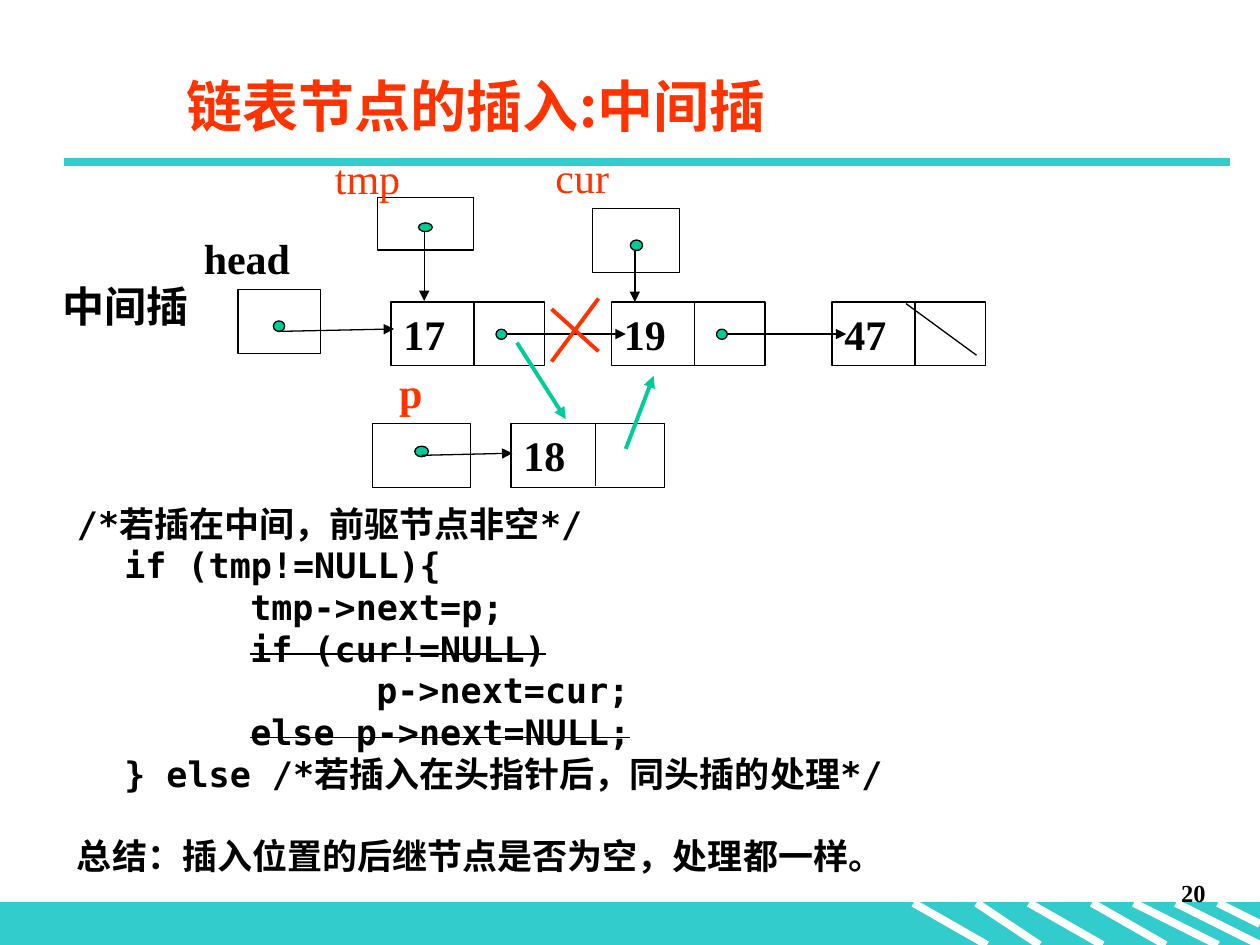
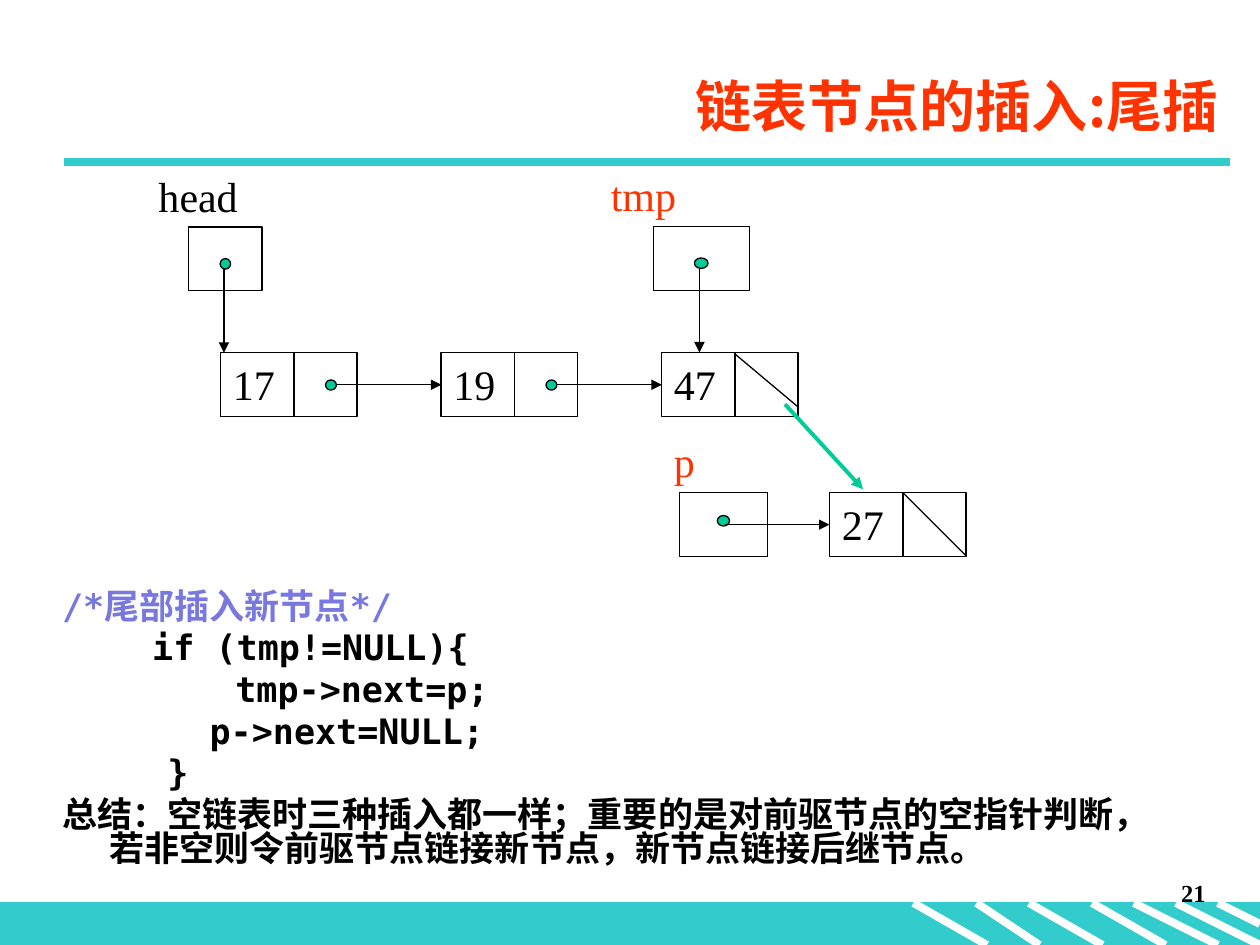
from dataclasses import dataclass
from typing import NamedTuple

from lxml import etree
from pptx import Presentation
from pptx.dml.color import RGBColor
from pptx.enum import shapes, text
from pptx.oxml import ns
from pptx.util import Pt

TEAL = RGBColor(0x33, 0xCC, 0xCC)
GREEN = RGBColor(0x00, 0xCC, 0x99)
RED = RGBColor(0xFF, 0x33, 0x00)
LILAC = RGBColor(0x78, 0x78, 0xDE)
BLACK = RGBColor(0, 0, 0)
WHITE = RGBColor(255, 255, 255)

SERIF = "Times New Roman"
MONO = "DejaVu Sans Mono"
CJK = "Noto Sans CJK SC"

NODE_HEIGHT = 36.5
NODE_STEP = 126
CODE_INDENT = 27
CODE_TAB = 72
LINE_GAP = 4.6
BLANK_LINE = 23.2


class Box(NamedTuple):
    left: float
    top: float
    width: float
    height: float


class Line(NamedTuple):
    x1: float
    y1: float
    x2: float
    y2: float


@dataclass(frozen=True)
class Node:
    value: str
    left: float
    top: float
    width: float
    split: float
    bold: bool = False


@dataclass(frozen=True)
class Pointer:
    """A labelled variable cell whose dot starts an arrow to a node."""
    label: str
    label_left: float
    cell: Box
    dot: Box
    arrow: Line
    color: RGBColor = RED
    bold: bool = False
    label_rise: float = 36


@dataclass(frozen=True)
class CodeLine:
    words: str
    margin: float = 0
    hang: float = 0
    before: float = LINE_GAP
    color: RGBColor = BLACK
    strike: bool = False


def add_run(p, words: str, size: float, font: str, color: RGBColor, bold: bool = True):
    r = p.add_run()
    r.text = words
    r.font.size = Pt(size)
    r.font.name = font
    r.font.bold = bold
    r.font.color.rgb = color
    etree.SubElement(r.font._element, ns.qn("a:ea"), typeface=CJK)
    return r


def place(sp, box: Box) -> None:
    sp.left, sp.top, sp.width, sp.height = (Pt(v) for v in box)


def add_text(slide, words: str, box: Box, size: float = 24, color: RGBColor = BLACK,
             bold: bool = True, align=text.PP_ALIGN.LEFT) -> None:
    tf = slide.shapes.add_textbox(*(Pt(v) for v in box)).text_frame
    tf.word_wrap = True
    tf.paragraphs[0].alignment = align
    add_run(tf.paragraphs[0], words, size, SERIF, color, bold)


def add_preset(slide, kind, box: Box, fill: RGBColor | None = None,
               line: RGBColor = BLACK):
    sp = slide.shapes.add_shape(kind, *(Pt(v) for v in box))
    sp.shadow.inherit = False
    if fill is None:
        sp.fill.background()
    else:
        sp.fill.solid()
        sp.fill.fore_color.rgb = fill
    sp.line.color.rgb = line
    sp.line.width = Pt(0.75)
    return sp


def add_line(slide, line: Line, color: RGBColor = BLACK, width: float = 0.75,
             arrow: bool = False) -> None:
    cx = slide.shapes.add_connector(shapes.MSO_CONNECTOR.STRAIGHT, *(Pt(v) for v in line))
    cx.line.color.rgb = color
    cx.line.width = Pt(width)
    if arrow:
        etree.SubElement(cx.line._get_or_add_ln(), ns.qn("a:tailEnd"), type="triangle")
    etree.SubElement(cx._element.spPr, ns.qn("a:effectLst"))


def add_dot(slide, box: Box) -> None:
    add_preset(slide, shapes.MSO_SHAPE.OVAL, box, GREEN)


def add_node(slide, node: Node) -> None:
    box = Box(node.left, node.top, node.width, NODE_HEIGHT)
    tf = add_preset(slide, shapes.MSO_SHAPE.RECTANGLE, box).text_frame
    tf.vertical_anchor = text.MSO_ANCHOR.TOP
    tf.paragraphs[0].alignment = text.PP_ALIGN.LEFT
    add_run(tf.paragraphs[0], node.value, 24, SERIF, BLACK, node.bold)
    x = node.left + node.split
    add_line(slide, Line(x, node.top, x, node.top + 36))


def add_link(slide, node: Node, length: float) -> None:
    """Draw the next pointer of a node."""
    x, y = node.left + 60, node.top + 15.5
    add_dot(slide, Box(x, y, 6.2, 5.8))
    add_line(slide, Line(x + 6.2, y + 2.8, x + 6.2 + length, y + 2.8), arrow=True)


def add_pointer(slide, ptr: Pointer) -> None:
    add_preset(slide, shapes.MSO_SHAPE.RECTANGLE, ptr.cell)
    label = Box(ptr.label_left, ptr.cell.top - ptr.label_rise, 100, 36)
    add_text(slide, ptr.label, label, color=ptr.color, bold=ptr.bold)
    add_dot(slide, ptr.dot)
    add_line(slide, ptr.arrow, arrow=True)


def add_code(slide, box: Box, lines: list[CodeLine]) -> None:
    sp = slide.placeholders[1]
    place(sp, box)
    tf = sp.text_frame
    tf.auto_size = text.MSO_AUTO_SIZE.NONE
    tf.vertical_anchor = text.MSO_ANCHOR.TOP
    for i, line in enumerate(lines):
        p = tf.add_paragraph() if i else tf.paragraphs[0]
        p.line_spacing = 0.8
        p.space_before = Pt(line.before)
        pPr = p._p.get_or_add_pPr()
        pPr.set("marL", str(Pt(line.margin)))
        pPr.set("indent", str(-Pt(line.hang)))
        etree.SubElement(pPr, ns.qn("a:buNone"))
        r = add_run(p, line.words, 20, MONO, line.color)
        if line.strike:
            r.font._element.set("strike", "sngStrike")


def new_slide(prs, title: str, align, number: int):
    """Add a slide with its title, rule, hatched band and number."""
    slide = prs.slides.add_slide(prs.slide_layouts[1])
    band = Box(0, 516, 720, 24)
    add_preset(slide, shapes.MSO_SHAPE.RECTANGLE, band, TEAL, TEAL)
    hatches = [(522, 564), (558, 600 - 6), (588, 630), (624, 666), (648, 696), (672, 720)]
    for x1, x2 in hatches:
        add_line(slide, Line(x1, 516, x2, 540), WHITE, 4.5)
    add_line(slide, Line(696, 516, 720, 528), WHITE, 4.5)
    add_line(slide, Line(36.8, 92.6, 702.8, 92.6), TEAL, 4.5)
    add_text(slide, str(number), Box(546, 498, 150, 36), 14, align=text.PP_ALIGN.RIGHT)

    sp = slide.shapes.title
    place(sp, Box(99.4, 31.8, 604, 57))
    tf = sp.text_frame
    tf.auto_size = text.MSO_AUTO_SIZE.NONE
    tf.vertical_anchor = text.MSO_ANCHOR.MIDDLE
    tf.paragraphs[0].alignment = align
    add_run(tf.paragraphs[0], title, 32, CJK, RED)
    return slide


def build_middle_insert(prs) -> None:
    slide = new_slide(prs, "链表节点的插入:中间插", text.PP_ALIGN.LEFT, 20)
    nodes = [Node(value, 223.4 + i * NODE_STEP, 172.6, 87.8, 47.4, True)
             for i, value in enumerate(("17", "19", "47"))]
    for node in nodes + [Node("18", 292, 242, 87.8, 48.2, True)]:
        add_node(slide, node)
    for node in nodes[:-1]:
        add_link(slide, node, 68)
    add_line(slide, Line(517.7, 173.5, 558, 203))

    pointers = [
        Pointer("head", 109.4, Box(136, 165.5, 47, 36.5), Box(156.2, 183.4, 6.5, 6),
                Line(158.5, 189.4, 225.2, 188), BLACK, True),
        Pointer("p", 221, Box(212.8, 242, 56, 36.5), Box(237, 255, 7.8, 6),
                Line(241, 260.2, 292.8, 259), RED, True),
        Pointer("tmp", 184.3, Box(215.7, 113, 55, 30), Box(239.2, 127.4, 7.8, 5),
                Line(242.4, 132.5, 242.4, 172), label_rise=29.5),
        Pointer("cur", 310.3, Box(338.5, 119.2, 50, 36.5), Box(360.2, 137.2, 7, 6),
                Line(362.8, 143.2, 362.8, 172.6)),
    ]
    for ptr in pointers:
        add_pointer(slide, ptr)

    for stroke in (Line(342, 170.6, 315.2, 206.6), Line(315.2, 176.6, 342, 200.8)):
        add_line(slide, stroke, RED, 2.25)
    for link in (Line(295.4, 195.8, 323.3, 239.5), Line(357.6, 256.5, 373.5, 214.8)):
        add_line(slide, link, GREEN, 2.25, arrow=True)
    add_text(slide, "中间插", Box(28.4, 157, 99, 36))

    level1, level2, level3 = (CODE_INDENT + i * CODE_TAB for i in range(3))
    add_code(slide, Box(36.8, 288, 604, 218), [
        CodeLine("/*若插在中间，前驱节点非空*/"),
        CodeLine("if (tmp!=NULL){", level1),
        CodeLine("tmp->next=p;", level2),
        CodeLine("if (cur!=NULL)", level2, strike=True),
        CodeLine("p->next=cur;", level3),
        CodeLine("else p->next=NULL;", level2, strike=True),
        CodeLine("} else /*若插入在头指针后，同头插的处理*/", level1),
        CodeLine("总结：插入位置的后继节点是否为空，处理都一样。", before=LINE_GAP + BLANK_LINE),
    ])


def build_tail_insert(prs) -> None:
    slide = new_slide(prs, "链表节点的插入:尾插", text.PP_ALIGN.RIGHT, 21)
    nodes = [Node(value, 126 + i * NODE_STEP, 201.6, 78, 42)
             for i, value in enumerate(("17", "19", "47"))]
    for node in nodes + [Node("27", 474, 281.6, 78, 42)]:
        add_node(slide, node)
    for node in nodes[:-1]:
        add_link(slide, node, 60)
    for slash in (Line(420, 202.3, 456, 232.5), Line(516, 281.6, 552, 317.6)):
        add_line(slide, slash)

    pointers = [
        Pointer("head", 83.5, Box(107.8, 129.7, 42, 36.5), Box(125.8, 147.8, 6, 6),
                Line(128, 154, 128, 201.6), BLACK),
        Pointer("p", 378, Box(388.5, 281.6, 50, 36.5), Box(409.9, 294.6, 7, 6),
                Line(414, 299.8, 474, 299.8)),
        Pointer("tmp", 342, Box(373.3, 129.5, 55, 36.5), Box(396.8, 147.4, 7.8, 6),
                Line(399.7, 153.4, 399.7, 201.4)),
    ]
    for ptr in pointers:
        add_pointer(slide, ptr)
    add_line(slide, Line(448.6, 231, 493.2, 279.6), GREEN, 2.25, arrow=True)

    add_code(slide, Box(28.3, 334.8, 649.5, 138), [
        CodeLine("/*尾部插入新节点*/", color=LILAC),
        CodeLine("if (tmp!=NULL){", 51.5),
        CodeLine("tmp->next=p;", CODE_INDENT + CODE_TAB),
        CodeLine("p->next=NULL;", 84.3),
        CodeLine("}", 60.2),
        CodeLine("总结：空链表时三种插入都一样；重要的是对前驱节点的空指针判断，"
                 "若非空则令前驱节点链接新节点，新节点链接后继节点。", CODE_INDENT, CODE_INDENT),
    ])


def main() -> None:
    prs = Presentation()
    prs.slide_width, prs.slide_height = Pt(720), Pt(540)
    build_middle_insert(prs)
    build_tail_insert(prs)
    prs.save("out.pptx")


if __name__ == "__main__":
    main()
